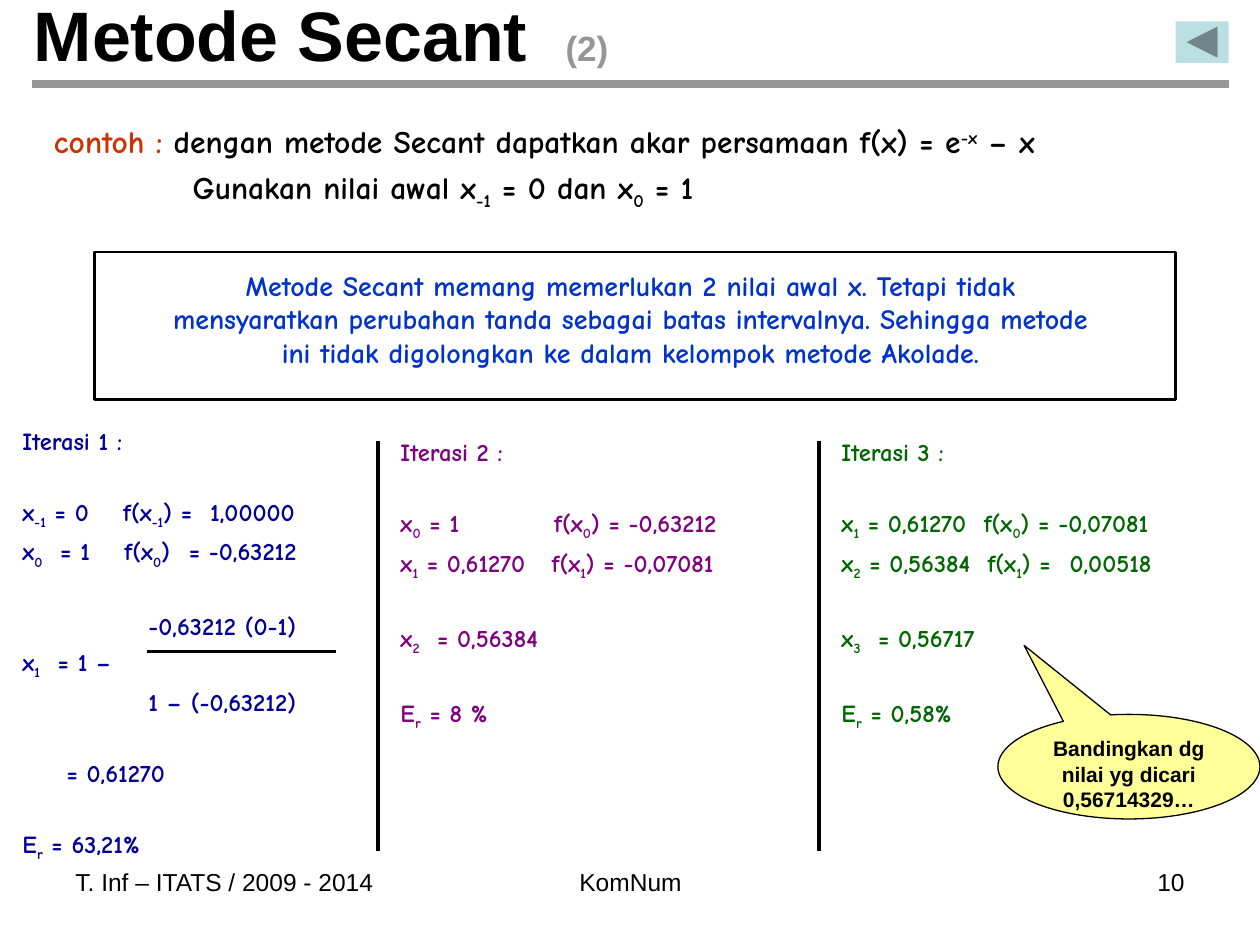
import pptx
import pptx.util
import pptx.dml.color
import pptx.enum.shapes
import pptx.enum.text
import pptx.oxml.ns
from lxml import etree

Inches, Pt = pptx.util.Inches, pptx.util.Pt
SHAPE = pptx.enum.shapes.MSO_SHAPE
ALIGN = pptx.enum.text.PP_ALIGN
ANCHOR = pptx.enum.text.MSO_ANCHOR
qn = pptx.oxml.ns.qn


def color(hex_string):
    return pptx.dml.color.RGBColor.from_string(hex_string)


def sub(text):
    return text, {"baseline": -25}


def sup(text):
    return text, {"baseline": 30}


def line(*runs, stops=(), before=None):
    return {"runs": runs, "stops": stops, "before": before}


class SlideBuilder:
    HAND, PLAIN = "Comic Neue", "Arial"
    BLACK, GREY = "000000", "969696"

    def __init__(self, slide):
        self.slide = slide

    def add_lines(self, frame, lines, size, font, ink, bold=False,
                  align=ALIGN.LEFT, before=0, anchor=ANCHOR.TOP):
        frame.word_wrap = True
        frame.vertical_anchor = anchor
        for number, item in enumerate(lines):
            paragraph = frame.add_paragraph() if number else frame.paragraphs[0]
            paragraph.alignment = align
            gap = before if item["before"] is None else item["before"]
            paragraph.space_before = Pt(gap)
            if item["stops"]:
                tabs = etree.SubElement(paragraph._p.get_or_add_pPr(), qn("a:tabLst"))
                for stop in item["stops"]:
                    etree.SubElement(tabs, qn("a:tab"), pos=str(Inches(stop)), algn="l")
            for part in item["runs"]:
                text, style = (part, {}) if isinstance(part, str) else part
                run = paragraph.add_run()
                run.text = text
                run.font.name = font
                run.font.size = Pt(style.get("size", size))
                run.font.bold = bold
                run.font.color.rgb = color(style.get("ink", ink))
                if "baseline" in style:
                    run.font._element.set("baseline", str(style["baseline"] * 1000))

    def text(self, left, top, width, height, lines, size, font, ink=BLACK, **style):
        box = self.slide.shapes.add_textbox(
            Inches(left), Inches(top), Inches(width), Inches(height))
        self.add_lines(box.text_frame, lines, size, font, ink, **style)

    def rule(self, x1, y1, x2, y2, weight, ink=BLACK):
        rule = self.slide.shapes.add_connector(
            pptx.enum.shapes.MSO_CONNECTOR.STRAIGHT,
            Inches(x1), Inches(y1), Inches(x2), Inches(y2))
        rule.line.color.rgb = color(ink)
        rule.line.width = Pt(weight)
        etree.SubElement(rule._element.spPr, qn("a:effectLst"))

    def shape(self, kind, left, top, width, height, fill=None, weight=None):
        shape = self.slide.shapes.add_shape(
            kind, Inches(left), Inches(top), Inches(width), Inches(height))
        shape.shadow.inherit = False
        if fill:
            shape.fill.solid()
            shape.fill.fore_color.rgb = color(fill)
        else:
            shape.fill.background()
        if weight:
            shape.line.color.rgb = color(self.BLACK)
            shape.line.width = Pt(weight)
        else:
            shape.line.fill.background()
        return shape


def main():
    deck = pptx.Presentation()
    deck.slide_width, deck.slide_height = Inches(10), Inches(7.5)
    page = SlideBuilder(deck.slides.add_slide(deck.slide_layouts[6]))

    # Title and its rule
    page.text(0.17, 0, 9, 0.53,
              [line("Metode Secant", ("\t(2)", {"size": 20, "ink": page.GREY}),
                    stops=[4.22])],
              40, page.PLAIN, bold=True, anchor=ANCHOR.MIDDLE)
    page.rule(0.25, 0.67, 9.75, 0.67, 4.5, page.GREY)

    # Problem
    page.text(0.33, 0.92, 9.42, 0.75, [
        line(("contoh :", {"ink": "CC3300"}),
             " dengan metode Secant dapatkan akar persamaan f(x) = e",
             sup("-x"), " – x"),
        line("\tGunakan nilai awal x", sub("-1"), " = 0 dan x", sub("0"), " = 1",
             stops=[1.1]),
    ], 18, page.HAND, bold=True, before=4.5)

    # Framed remark
    page.text(1.17, 2.08, 7.67, 0.92, [line(
        "Metode Secant memang memerlukan 2 nilai awal x. Tetapi tidak "
        "mensyaratkan perubahan tanda sebagai batas intervalnya. Sehingga "
        "metode ini tidak digolongkan ke dalam kelompok metode Akolade.")],
        16, page.HAND, "0033CC", bold=True, align=ALIGN.CENTER, before=4)
    page.shape(SHAPE.RECTANGLE, 0.75, 2, 8.58, 1.17, weight=1.5)

    # Iterations: a new block starts one line lower
    block = 23.8
    iterations = [
        (0.08, 3.33, 3, 3.33, "000099", [
            line("Iterasi 1 :"),
            line("x", sub("-1"), " = 0\tf(x", sub("-1"), ") =\t1,00000",
                 stops=[0.8, 1.49], before=block),
            line("x", sub("0"), "\t= 1\tf(x", sub("0"), ")\t= -0,63212",
                 stops=[0.3, 0.81, 1.32]),
            line("\t-0,63212 (0-1)", stops=[1], before=block),
            line("x", sub("1"), "\t= 1 –", stops=[0.28]),
            line("\t1 – (-0,63212)", stops=[1]),
            line("\t= 0,61270", stops=[0.35], before=block),
            line("E", sub("r"), " = 63,21%", before=block),
        ]),
        (3.08, 3.42, 3.42, 2.33, "800080", [
            line("Iterasi 2 :"),
            line("x", sub("0"), " = 1\tf(x", sub("0"), ") = -0,63212",
                 stops=[1.22], before=block),
            line("x", sub("1"), " = 0,61270\tf(x", sub("1"), ") = -0,07081",
                 stops=[1.2]),
            line("x", sub("2"), "\t= 0,56384", stops=[0.29], before=block),
            line("E", sub("r"), " = 8 %", before=block),
        ]),
        (6.58, 3.42, 3.42, 2.33, "006600", [
            line("Iterasi 3 :"),
            line("x", sub("1"), " = 0,61270\tf(x", sub("0"), ") = -0,07081",
                 stops=[1.13], before=block),
            line("x", sub("2"), " = 0,56384\tf(x", sub("1"), ") =\t0,00518",
                 stops=[1.16, 1.81]),
            line("x", sub("3"), "\t= 0,56717", stops=[0.29], before=block),
            line("E", sub("r"), " = 0,58%", before=block),
        ]),
    ]
    for left, top, width, height, ink, steps in iterations:
        page.text(left, top, width, height, steps, 14, page.HAND, ink,
                  bold=True, before=3.5)

    # Fraction bar and column dividers
    page.rule(1.17, 5.17, 2.67, 5.17, 1.5)
    for divider in (3, 6.5):
        page.rule(divider, 3.5, divider, 6.75, 2.25)

    # Callout
    comparison = page.shape(SHAPE.OVAL_CALLOUT, 7.92, 5.67, 2.08, 0.83, "FFFF99", 0.75)
    comparison.adjustments[0] = -0.4
    comparison.adjustments[1] = -1.16
    page.add_lines(comparison.text_frame,
                   [line("Bandingkan dg nilai yg dicari"), line("0,56714329…")],
                   12, page.PLAIN, page.BLACK, bold=True, align=ALIGN.CENTER)

    # Back button
    page.shape(SHAPE.ACTION_BUTTON_BACK_OR_PREVIOUS, 9.33, 0.17, 0.42, 0.33, "BBE0E3")

    # Footer
    for left, width, words, align in [
            (0.5, 2.75, "T. Inf – ITATS / 2009 - 2014", ALIGN.LEFT),
            (3.42, 3.17, "KomNum", ALIGN.CENTER),
            (7.17, 2.33, "10", ALIGN.RIGHT)]:
        page.text(left, 6.83, width, 0.52, [line(words)], 14, page.PLAIN, align=align)

    deck.save("out.pptx")


if __name__ == "__main__":
    main()
